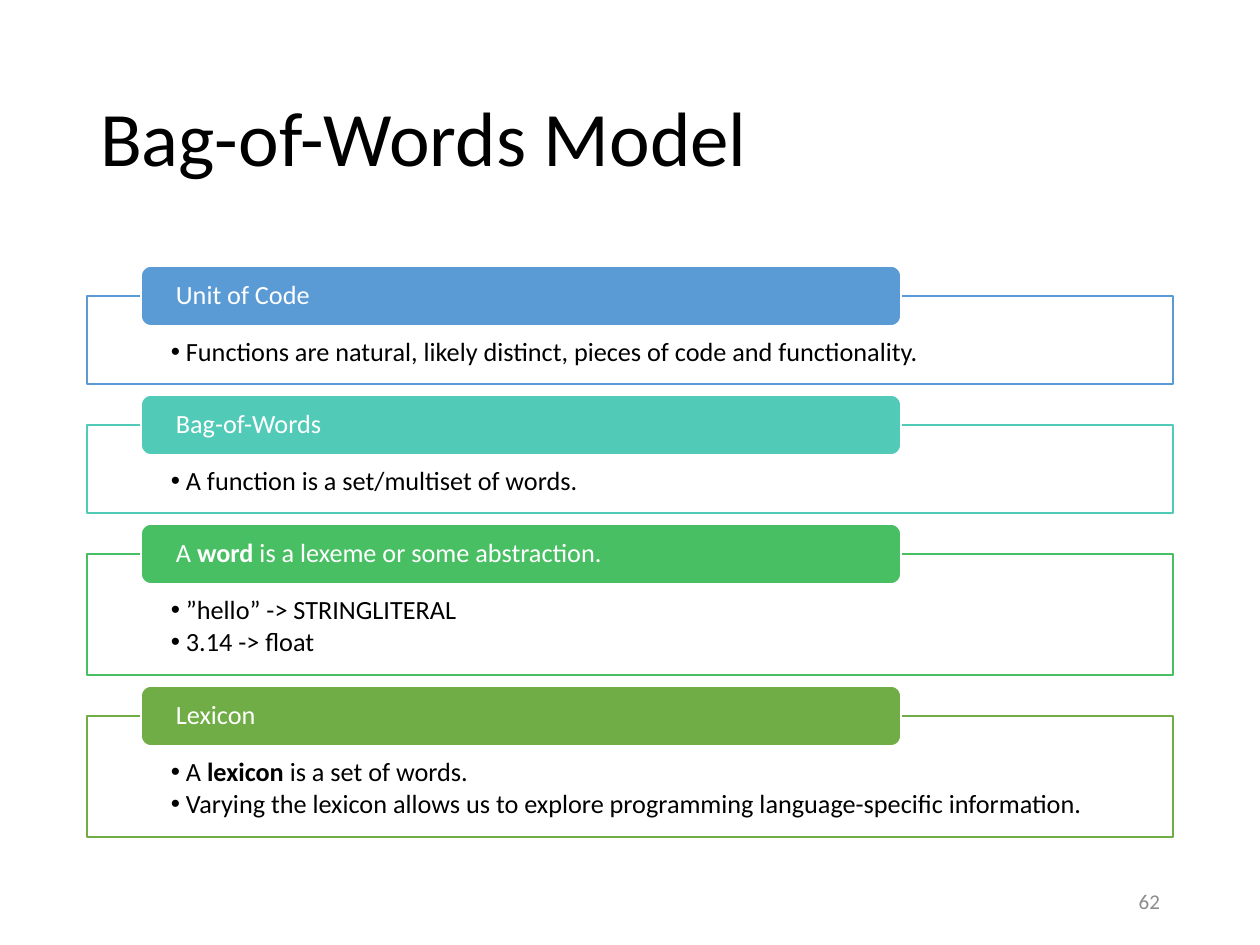
from lxml.etree import SubElement
from pptx import Presentation
from pptx.dml.color import RGBColor
from pptx.enum.shapes import MSO_SHAPE as Shape
from pptx.enum.text import MSO_ANCHOR as Anchor, MSO_AUTO_SIZE as AutoSize, PP_ALIGN as Align
from pptx.oxml.ns import qn
from pptx.util import Pt

EMU_PER_PX = 914400 / 126
BLACK = RGBColor(0x00, 0x00, 0x00)
WHITE = RGBColor(0xFF, 0xFF, 0xFF)
GRAY = RGBColor(0x8C, 0x8C, 0x8C)
BLUE = RGBColor(0x5B, 0x9B, 0xD5)
TEAL = RGBColor(0x52, 0xCA, 0xB8)
GREEN = RGBColor(0x49, 0xBF, 0x64)
OLIVE = RGBColor(0x70, 0xAD, 0x47)

SECTIONS = [
    (BLUE, "Unit of Code",
     ["Functions are natural, likely distinct, pieces of code and functionality."]),
    (TEAL, "Bag-of-Words", ["A function is a set/multiset of words."]),
    (GREEN, "A *word* is a lexeme or some abstraction.",
     ["”hello” -> STRINGLITERAL", "3.14 -> float"]),
    (OLIVE, "Lexicon",
     ["A *lexicon* is a set of words.",
      "Varying the lexicon allows us to explore programming language-specific information."]),
]
SECTION_GAP = 41
LINE_HEIGHT = 33


def px(length):
    """Turn px into EMU."""
    return round(length * EMU_PER_PX)


def apply_format(target, values):
    """Set each attribute of the target from a dict."""
    for name, value in values.items():
        setattr(target, name, value)


def set_frame(frame, anchor, left, top, right, bottom):
    """Set wrapping, anchor and margins in px of a text frame."""
    apply_format(frame, {
        "word_wrap": True, "auto_size": AutoSize.NONE, "vertical_anchor": anchor,
        "margin_left": px(left), "margin_top": px(top),
        "margin_right": px(right), "margin_bottom": px(bottom)})


def write_paragraph(paragraph, text, size, color, **layout):
    """Write text whose parts between asterisks are bold."""
    apply_format(paragraph, {"alignment": Align.LEFT, **layout})
    for index, part in enumerate(text.split("*")):
        run = paragraph.add_run()
        run.text = part
        apply_format(run.font, {"name": "Calibri", "size": Pt(size), "bold": index % 2 == 1})
        run.font.color.rgb = color


def add_bullet(paragraph, indent):
    """Give a paragraph a round bullet with a hanging indent in px."""
    properties = paragraph._p.get_or_add_pPr()
    properties.set("marL", str(px(indent)))
    properties.set("indent", str(-px(indent)))
    SubElement(properties, qn("a:buFont")).set("typeface", "Arial")
    SubElement(properties, qn("a:buChar")).set("char", "•")


def add_box(group, kind, box, fill, line):
    """Add a filled and outlined shape to a group."""
    shape = group.shapes.add_shape(kind, *map(px, box))
    shape.shadow.inherit = False
    shape.fill.solid()
    shape.fill.fore_color.rgb = fill
    shape.line.color.rgb = line
    shape.line.width = Pt(1)
    return shape


def add_section(slide, left, top, width, height, color, heading, items):
    """Add a framed list with a heading tab over its top edge."""
    group = slide.shapes.add_group_shape()
    frame = add_box(group, Shape.RECTANGLE, (left, top, width, height), WHITE, color)
    fill_color = frame.fill._xPr.find(qn("a:solidFill"))[0]
    SubElement(fill_color, qn("a:alpha")).set("val", "90000")
    set_frame(frame.text_frame, Anchor.TOP, 84, 43, 84, 15)
    for index, item in enumerate(items):
        paragraph = frame.text_frame.add_paragraph() if index else frame.text_frame.paragraphs[0]
        add_bullet(paragraph, 15)
        write_paragraph(paragraph, item, 15, BLACK, line_spacing=0.9, space_after=Pt(1.8))

    tab_box = (left + 54, top - 30, round(width * 0.7), 60)
    tab = add_box(group, Shape.ROUNDED_RECTANGLE, tab_box, color, WHITE)
    set_frame(tab.text_frame, Anchor.MIDDLE, 32, 3, 32, 3)
    write_paragraph(tab.text_frame.paragraphs[0], heading, 15, WHITE, line_spacing=0.9)


def add_sections(slide, left, top, width):
    """Stack the sections downwards with equal gaps."""
    for color, heading, items in SECTIONS:
        height = 55 + LINE_HEIGHT * len(items)
        add_section(slide, left, top, width, height, color, heading, items)
        top += height + SECTION_GAP


def add_title(slide, left, top, width, height, text):
    """Move and write the title placeholder."""
    title = slide.shapes.title
    apply_format(title, {"left": px(left), "top": px(top),
                         "width": px(width), "height": px(height)})
    set_frame(title.text_frame, Anchor.MIDDLE, 13, 6, 13, 6)
    write_paragraph(title.text_frame.paragraphs[0], text, 44, BLACK, line_spacing=0.9)


def add_page_number(slide, left, top, width, height, text):
    """Add the page number at the right."""
    number = slide.shapes.add_textbox(px(left), px(top), px(width), px(height))
    set_frame(number.text_frame, Anchor.MIDDLE, 13, 6, 13, 6)
    write_paragraph(number.text_frame.paragraphs[0], text, 12, GRAY, alignment=Align.RIGHT)


def main():
    """Build and save the slide."""
    presentation = Presentation()
    presentation.slide_width, presentation.slide_height = px(1260), px(945)
    slide = presentation.slides.add_slide(presentation.slide_layouts[5])
    add_title(slide, 87, 50, 1086, 183, "Bag-of-Words Model")
    add_sections(slide, 87, 296, 1086)
    add_page_number(slide, 890, 876, 283, 50, "62")
    presentation.save("out.pptx")


if __name__ == "__main__":
    main()
